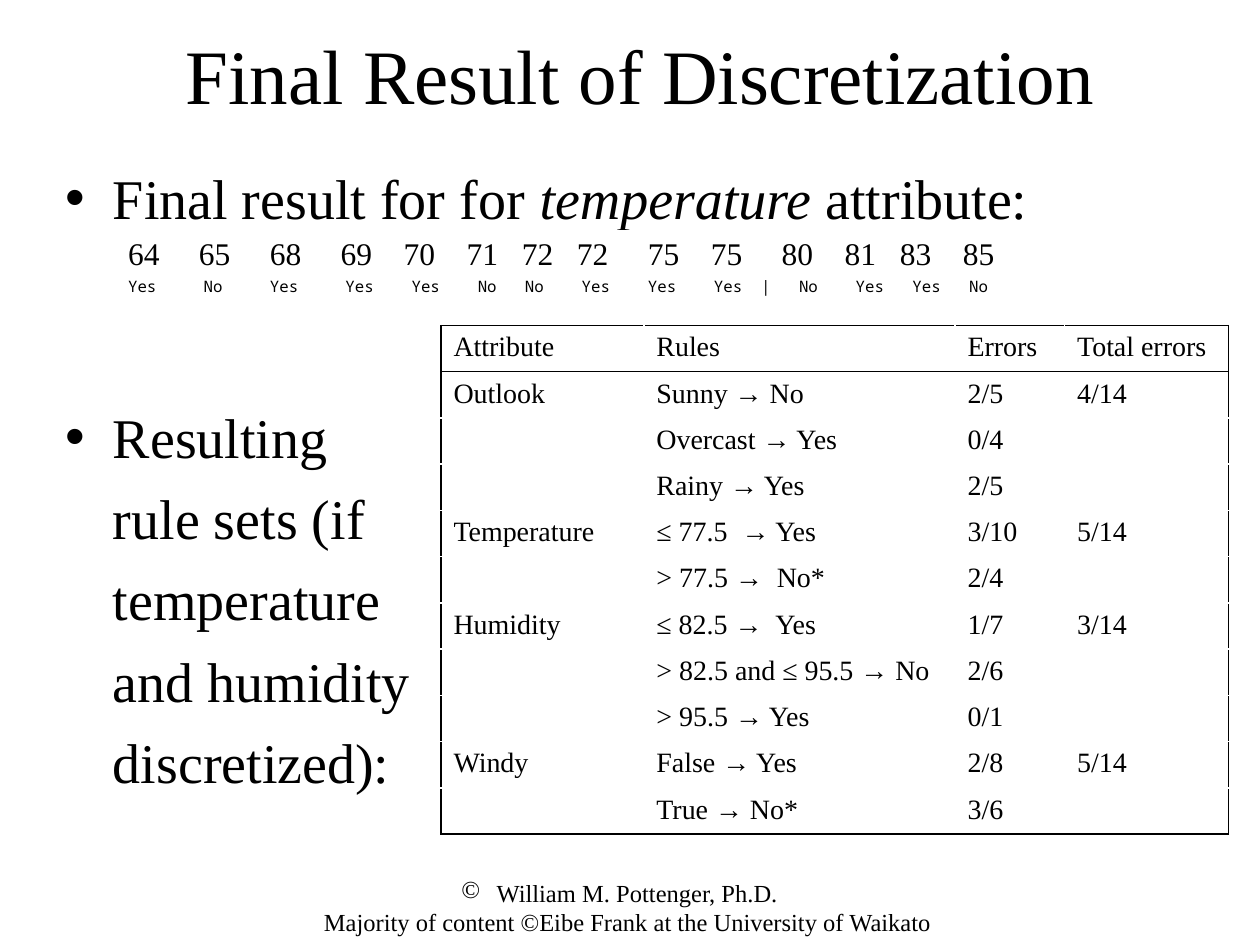
import dataclasses
import itertools

import pptx
import pptx.dml.color
import pptx.enum.text
import pptx.oxml.ns
import pptx.util
from lxml import etree


@dataclasses.dataclass(frozen=True)
class Theme:
    ink: str = "000000"
    serif: str = "Times New Roman"
    mono: str = "Noto Sans Mono"
    title: float = 44
    body: float = 32
    values: float = 18
    rules: float = 16
    footer: float = 14
    classes: float = 9
    border: float = 1


COLUMNS, ROWS = 120, 90  # page grid


def add_element(parent, tag, **attributes):
    return etree.SubElement(parent, pptx.oxml.ns.qn(tag), **attributes)


class SlideBuilder:
    def __init__(self, deck, theme):
        self.theme = theme
        self.cell_width = deck.slide_width / COLUMNS
        self.cell_height = deck.slide_height / ROWS
        self.slide = deck.slides.add_slide(deck.slide_layouts[1])

    def box(self, column, row, width, height):
        return (round(column * self.cell_width), round(row * self.cell_height),
                round(width * self.cell_width), round(height * self.cell_height))

    def style(self, paragraph, size, font=None):
        paragraph.font.size = pptx.util.Pt(size)
        paragraph.font.name = font or self.theme.serif
        paragraph.font.color.rgb = pptx.dml.color.RGBColor.from_string(self.theme.ink)

    def place(self, holder, area):
        holder.left, holder.top, holder.width, holder.height = self.box(*area)
        holder.text_frame.auto_size = pptx.enum.text.MSO_AUTO_SIZE.NONE
        return holder.text_frame

    def title(self, text, area):
        frame = self.place(self.slide.shapes.title, area)
        frame.text = text
        self.style(frame.paragraphs[0], self.theme.title)

    def bullets(self, lines, area):
        """Each line is (runs, bulleted, space before); a run is (text, italic)."""
        frame = self.place(self.slide.placeholders[1], area)
        for index, (runs, bulleted, space) in enumerate(lines):
            paragraph = frame.add_paragraph() if index else frame.paragraphs[0]
            hanging = pptx.util.Inches(0.38)
            properties = paragraph._p.get_or_add_pPr()
            properties.set("marL", str(hanging))
            properties.set("indent", str(-hanging if bulleted else 0))
            paragraph.space_before = pptx.util.Pt(space)
            if bulleted:
                add_element(properties, "a:buChar", char="•")
            else:
                add_element(properties, "a:buNone")
            self.style(paragraph, self.theme.body)
            for text, italic in runs:
                run = paragraph.add_run()
                run.text = text
                if italic:
                    run.font.italic = True

    def footer(self, lines, area):
        frame = self.slide.shapes.add_textbox(*self.box(*area)).text_frame
        frame.word_wrap = True
        for index, (text, bullet) in enumerate(lines):
            paragraph = frame.add_paragraph() if index else frame.paragraphs[0]
            paragraph.alignment = pptx.enum.text.PP_ALIGN.CENTER
            if bullet:
                add_element(paragraph._p.get_or_add_pPr(), "a:buChar", char=bullet)
            paragraph.add_run().text = text
            self.style(paragraph, self.theme.footer)

    def table(self, row_count, widths, area):
        frame = self.slide.shapes.add_table(row_count, len(widths), *self.box(*area))
        table = frame.table
        table.first_row = table.horz_banding = False
        for column, width in zip(table.columns, widths):
            column.width = pptx.util.Inches(width)
        for cell in table.iter_cells():
            cell.fill.background()
        return table

    def border(self, cell, sides):
        properties = cell._tc.get_or_add_tcPr()
        lines = []
        for side in sides:
            line = add_element(properties, f"a:ln{side}", w=str(pptx.util.Pt(self.theme.border)))
            add_element(add_element(line, "a:solidFill"), "a:srgbClr", val=self.theme.ink)
            lines.append(line)
        for position, line in enumerate(lines):  # borders go ahead of the fill
            properties.insert(position, line)

    def rules_table(self, rows, widths, area):
        table = self.table(len(rows), widths, area)
        last_row, last_column = len(rows) - 1, len(widths) - 1
        for r, row in enumerate(rows):
            for c, text in enumerate(row):
                cell = table.cell(r, c)
                paragraph = cell.text_frame.paragraphs[0]
                if text:
                    paragraph.add_run().text = text
                else:
                    size = str(round(self.theme.rules * 100))
                    add_element(paragraph._p, "a:endParaRPr", sz=size)
                self.style(paragraph, self.theme.rules)
                drawn = {"L": c == 0, "R": c == last_column,
                         "T": r in (0, 1), "B": r in (0, last_row)}
                self.border(cell, [side for side, wanted in drawn.items() if wanted])

    def aligned_lines(self, lines, width, area):
        """One cell whose lines are (entries, gaps in characters, character width, size, font)."""
        frame = self.table(1, [width], area).cell(0, 0).text_frame
        for index, (entries, gaps, advance, size, font) in enumerate(lines):
            paragraph = frame.add_paragraph() if index else frame.paragraphs[0]
            if index:
                paragraph.space_before = pptx.util.Pt(size * 0.2)
            steps = (len(entry) + gap for entry, gap in zip(entries, gaps))
            tabs = add_element(paragraph._p.get_or_add_pPr(), "a:tabLst")
            for stop in itertools.accumulate(steps):
                add_element(tabs, "a:tab", pos=str(pptx.util.Pt(stop * advance * size)), algn="l")
            paragraph.add_run().text = "\t".join(entries)
            self.style(paragraph, size, font)


def main():
    deck = pptx.Presentation()
    deck.slide_width, deck.slide_height = pptx.util.Inches(10), pptx.util.Inches(7.5)
    theme = Theme()
    page = SlideBuilder(deck, theme)

    # Footer, title and bullets
    page.footer([(" William M. Pottenger, Ph.D.", "©"),
                 (" Majority of content ©Eibe Frank at the University of Waikato", None)],
                (27, 83, 65, 4))
    page.title("Final Result of Discretization", (5, 0, 112, 14))
    opening = [("Final result for for ", False), ("temperature", True), (" attribute:", False)]
    continuation = ["rule sets (if", "temperature", "and humidity", "discretized):"]
    page.bullets([(opening, True, 0), ([("Resulting", False)], True, 98)]
                 + [([(text, False)], False, 8) for text in continuation],
                 (5, 15, 112, 66))

    # Rule sets with their errors
    page.rules_table([
        ("Attribute", "Rules", "Errors", "Total errors"),
        ("Outlook", "Sunny → No", "2/5", "4/14"),
        ("", "Overcast → Yes", "0/4", ""),
        ("", "Rainy → Yes", "2/5", ""),
        ("Temperature", "≤ 77.5  → Yes", "3/10", "5/14"),
        ("", "> 77.5 →  No*", "2/4", ""),
        ("Humidity", "≤ 82.5 →  Yes", "1/7", "3/14"),
        ("", "> 82.5 and ≤ 95.5 → No", "2/6", ""),
        ("", "> 95.5 → Yes", "0/1", ""),
        ("Windy", "False → Yes", "2/8", "5/14"),
        ("", "True → No*", "3/6", ""),
    ], (1.61, 2.47, 0.87, 1.3), (42, 31, 75, 44))

    # Sorted temperatures over their classes; a serif space is half a digit wide
    temperatures = "64 65 68 69 70 71 72 72 75 75 80 81 83 85".split()
    classes = "Yes No Yes Yes Yes No No Yes Yes Yes | No Yes Yes No".split()
    value_gaps = [gap / 2 for gap in (5, 5, 5, 4, 4, 3, 3, 5, 4, 5, 4, 3, 4)]
    class_gaps = (5, 5, 5, 4, 4, 3, 4, 4, 4, 2, 3, 4, 3, 3)
    page.aligned_lines([(temperatures, value_gaps, 0.5, theme.values, theme.serif),
                        (classes, class_gaps, 0.6, theme.classes, theme.mono)],
                       7.92, (11, 22, 95, 8))

    deck.save("out.pptx")


if __name__ == "__main__":
    main()
